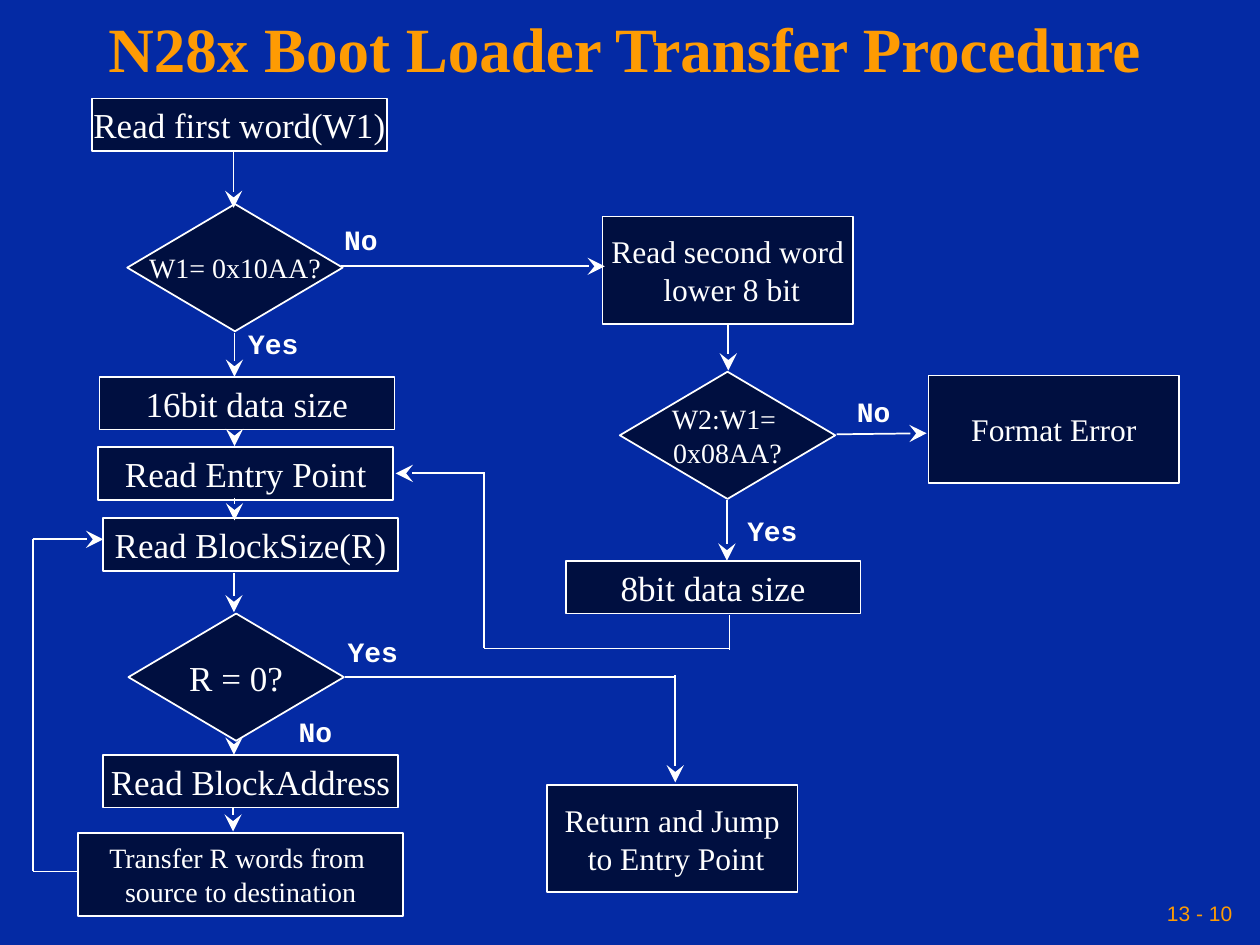
"""Builds the boot loader transfer procedure flowchart slide."""
from lxml import etree
from pptx import Presentation
from pptx.dml.color import RGBColor
from pptx.enum import shapes, text
from pptx.oxml.ns import qn
from pptx.util import Pt

BLUE = RGBColor(0x04, 0x2A, 0xA4)
NAVY = RGBColor(0x00, 0x0F, 0x40)
ORANGE = RGBColor(0xFE, 0x9B, 0x03)
WHITE = RGBColor(0xFF, 0xFF, 0xFF)

PROCESS = shapes.MSO_SHAPE.FLOWCHART_PROCESS
DECISION = shapes.MSO_SHAPE.FLOWCHART_DECISION
STEP = (PROCESS, 168.5, 30.2)
BLOCK = (PROCESS, 143.3, 61.2)
WIDE = (PROCESS, 185.8, 47.5)
DIAMOND = (DECISION, 123.1, 72.7)


def write(sp, content, size, font="Times New Roman", color=WHITE, bold=False,
          align=text.PP_ALIGN.CENTER, anchor=text.MSO_ANCHOR.MIDDLE,
          wrap=False, inset=7.2, spacing=None):
    tf = sp.text_frame
    tf.word_wrap = wrap
    tf.vertical_anchor = anchor
    tf.margin_left = tf.margin_right = Pt(inset)
    tf.margin_top = tf.margin_bottom = Pt(3.6)
    for i, line in enumerate(content.split("\n")):
        p = tf.add_paragraph() if i else tf.paragraphs[0]
        p.alignment = align
        if spacing:
            p.line_spacing = spacing
        r = p.add_run()
        r.text = line
        r.font.size, r.font.name, r.font.bold = Pt(size), font, bold
        r.font.color.rgb = color


prs = Presentation()
prs.slide_width, prs.slide_height = Pt(720), Pt(540)
s = prs.slides.add_slide(prs.slide_layouts[6])
s.background.fill.solid()
s.background.fill.fore_color.rgb = BLUE

number = s.shapes.add_textbox(Pt(491.8), Pt(509.8), Pt(216), Pt(23.8))
write(number, "13 - 10", 12, font="Arial", color=ORANGE,
      align=text.PP_ALIGN.RIGHT, wrap=True, inset=3.6)
title = s.shapes.add_textbox(Pt(0), Pt(0), Pt(714), Pt(60))
write(title, "N28x Boot Loader Transfer Procedure", 36, color=ORANGE,
      bold=True, wrap=True, inset=3.6, spacing=0.9)

nodes = [
    (STEP, 52.6, 56.2, "Read first word(W1)", 20),
    (DIAMOND, 72.7, 116.6, "W1= 0x10AA?", 16),
    (STEP, 56.9, 215.3, "16bit data size", 20),
    (STEP, 56.2, 255.6, "Read Entry Point", 20),
    (STEP, 59, 295.9, "Read BlockSize(R)", 20),
    (DIAMOND, 73.4, 350.6, "R = 0?", 20),
    (STEP, 59, 431.3, "Read BlockAddress", 20),
    (WIDE, 44.6, 475.9, "Transfer R words from \nsource to destination", 16),
    (BLOCK, 344.2, 123.8, "Read second word\n lower 8 bit", 18),
    (DIAMOND, 354.2, 212.4, "W2:W1= \n0x08AA?", 16),
    (STEP, 323.3, 320.4, "8bit data size", 20),
    (BLOCK, 530.6, 214.6, "Format Error", 18),
    (BLOCK, 312.5, 448.6, "Return and Jump\n to Entry Point", 18),
]
for (kind, w, h), x, y, label, size in nodes:
    sp = s.shapes.add_shape(kind, Pt(x), Pt(y), Pt(w), Pt(h))
    sp.shadow.inherit = False
    sp.fill.solid()
    sp.fill.fore_color.rgb = NAVY
    sp.line.color.rgb = WHITE
    sp.line.width = Pt(1)
    write(sp, label, size)

arrows = [
    (133.5, 87.1, 133.5, 118.8),
    (134, 190.1, 134, 215.3),
    (134, 247, 134, 254.9),
    (134, 284.4, 134, 297.4),
    (133.7, 327.6, 133.7, 349.9),
    (133.7, 423.4, 133.7, 431.3),
    (133.2, 461.5, 133.2, 475.2),
    (18.7, 308.2, 59, 308.2),
    (195.1, 152.2, 345.6, 152.2),
    (416.2, 185, 416.2, 211.7),
    (415.4, 285.8, 415.4, 320.4),
    (277.2, 270.5, 226.1, 270.5),
    (478.1, 248.2, 529.5, 247.6),
    (385.9, 385.9, 385.9, 447.1),
]
plain_lines = [
    (43.9, 498, 18.7, 498),
    (18.7, 308.2, 18.7, 498),
    (276.7, 270.5, 276.7, 370.3),
    (276.7, 370.6, 417.4, 370.6),
    (416.9, 351.4, 416.9, 371.2),
    (197.3, 387, 386.5, 387),
]
for i, ends in enumerate(arrows + plain_lines):
    c = s.shapes.add_connector(shapes.MSO_CONNECTOR.STRAIGHT, *map(Pt, ends))
    c.line.color.rgb = WHITE
    c.line.width = Pt(1)
    if i < len(arrows):
        etree.SubElement(c.line._get_or_add_ln(), qn("a:tailEnd"),
                         type="stealth", w="lg", len="lg")
    etree.SubElement(c._element.spPr, qn("a:effectLst"))

answers = [
    ("No", 189.4, 123.8), ("No", 482.4, 221.8), ("No", 163.4, 404.6),
    ("Yes", 134.6, 182.9), ("Yes", 191.5, 359.3), ("Yes", 419.8, 290.2),
]
for answer, x, y in answers:
    width = 14.4 + 9.6 * len(answer)
    sp = s.shapes.add_textbox(Pt(x), Pt(y), Pt(width), Pt(26.6))
    write(sp, answer, 16, font="Courier New", bold=True,
          anchor=text.MSO_ANCHOR.TOP)

prs.save("out.pptx")
